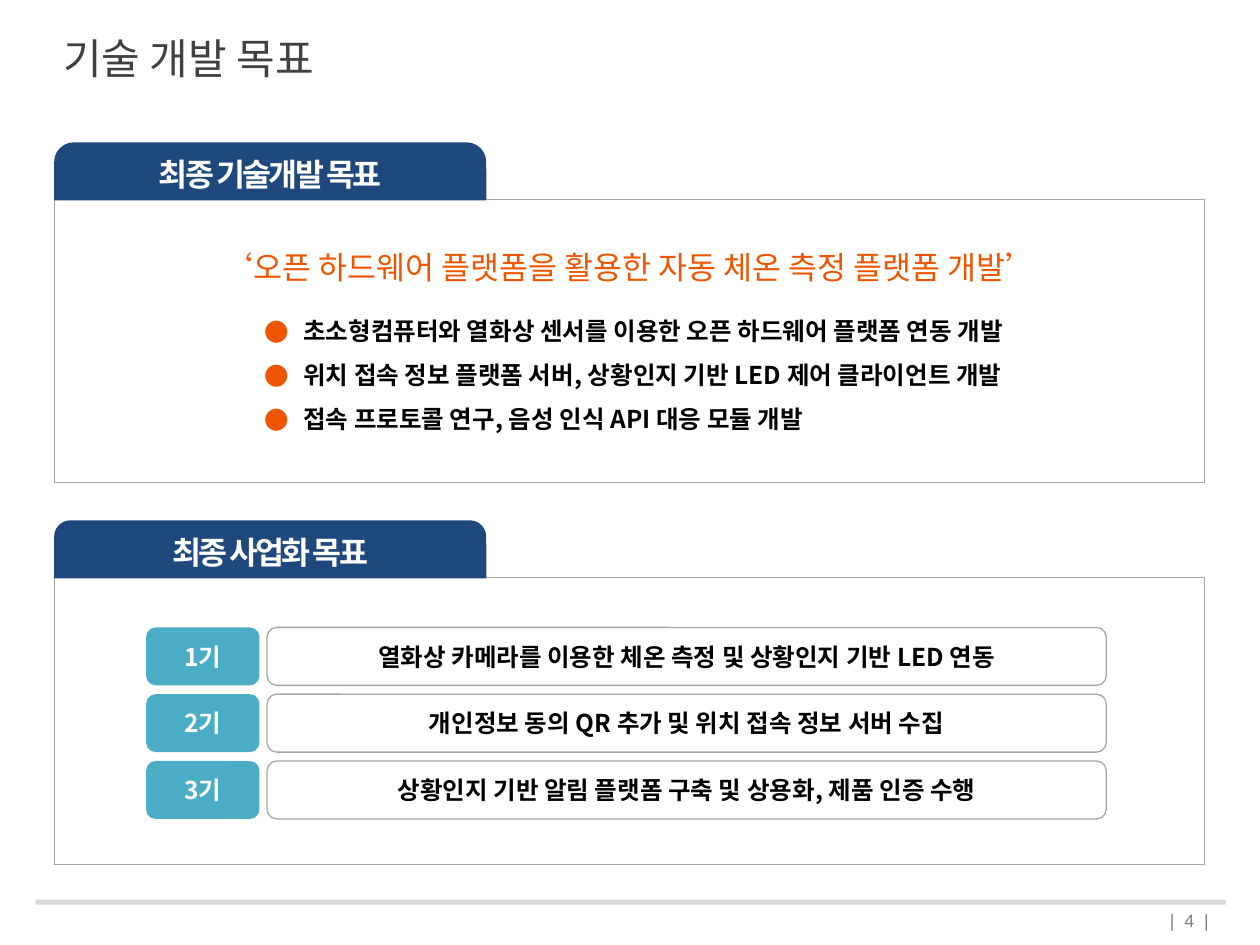
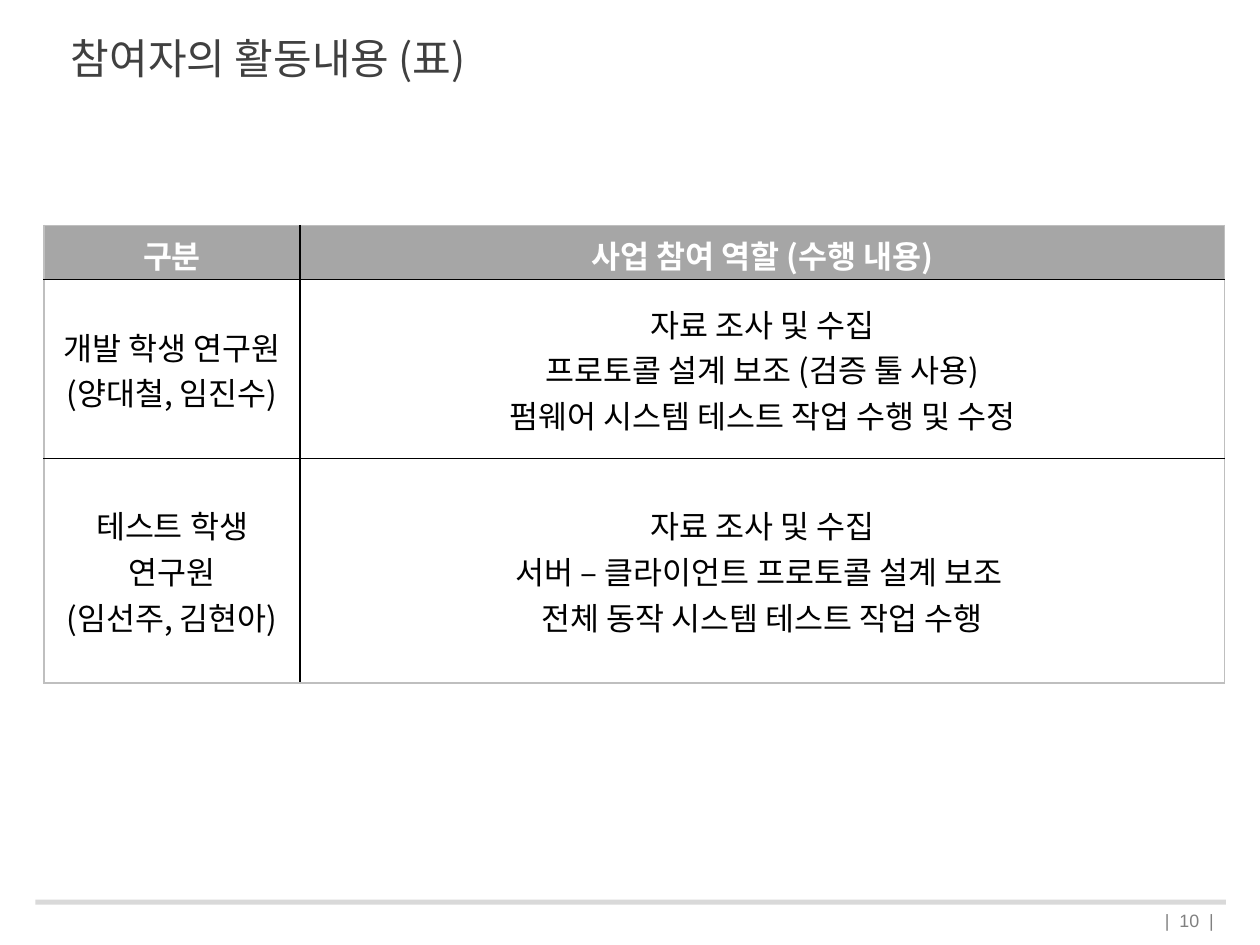
from pptx import Presentation
from pptx.dml.color import RGBColor
from pptx.enum.shapes import MSO_SHAPE as Shape
from pptx.enum.text import MSO_ANCHOR as Anchor, PP_ALIGN as Align
from pptx.oxml.ns import qn
from pptx.util import Inches, Pt
from lxml.etree import SubElement, Element

SANS = "Noto Sans CJK KR"
WHITE = RGBColor(0xFF, 0xFF, 0xFF)
BLACK = RGBColor(0, 0, 0)
NAVY = RGBColor(0x1F, 0x49, 0x7D)
TEAL = RGBColor(0x4B, 0xAC, 0xC6)
ORANGE = RGBColor(0xEE, 0x55, 0x00)
TITLE_GRAY = RGBColor(0x40, 0x40, 0x40)
PAGE_GRAY = RGBColor(0x80, 0x80, 0x80)
LINE_GRAY = RGBColor(0xA6, 0xA6, 0xA6)
EDGE_GRAY = RGBColor(0xBF, 0xBF, 0xBF)
BAND_GRAY = RGBColor(0xD9, 0xD9, 0xD9)

PANEL_LEFT, PANEL_WIDTH = 0.43, 9.13
TAB_HEIGHT = 0.46


def write(para, text, size=14, color=BLACK, bold=False, font=SANS,
          align=Align.CENTER, spacing=None):
    para.alignment = align
    span = para.add_run()
    span.text = text
    span.font.size = Pt(size)
    span.font.bold = bold
    span.font.color.rgb = color
    span.font.name = font
    properties = span.font._element
    SubElement(properties, qn("a:ea")).set("typeface", font)
    if spacing is not None:
        properties.set("spc", str(round(spacing * 100)))


def add_text(page, text, left, top, width, height, wrap=True, **style):
    box = page.shapes.add_textbox(*map(Inches, (left, top, width, height)))
    box.text_frame.word_wrap = wrap
    write(box.text_frame.paragraphs[0], text, **style)


def add_block(page, kind, left, top, width, height, fill=None, line=None,
              line_width=0.75, adjust=None, text=None, side_margin=0.1, **style):
    block = page.shapes.add_shape(kind, *map(Inches, (left, top, width, height)))
    block.shadow.inherit = False
    if fill is None:
        block.fill.background()
    else:
        block.fill.solid()
        block.fill.fore_color.rgb = fill
    if line is None:
        block.line.fill.background()
    else:
        block.line.color.rgb = line
        block.line.width = Pt(line_width)
    for index, value in enumerate(adjust or ()):
        block.adjustments[index] = value
    frame = block.text_frame
    frame.word_wrap = True
    frame.vertical_anchor = Anchor.MIDDLE
    frame.margin_left = frame.margin_right = Inches(side_margin)
    if text:
        write(frame.paragraphs[0], text, **style)
    return block


def add_bullet(frame, text, line_spacing):
    para = frame.add_paragraph()
    para.level = 1
    para.line_spacing = line_spacing
    properties = para._p.get_or_add_pPr()
    properties.set("marL", str(Inches(1.88)))
    properties.set("indent", str(Inches(-0.31)))
    color = SubElement(properties, qn("a:buClr"))
    SubElement(color, qn("a:srgbClr")).set("val", str(ORANGE))
    SubElement(properties, qn("a:buFont")).set("typeface", SANS)
    SubElement(properties, qn("a:buChar")).set("char", "●")
    write(para, text, bold=True, align=Align.LEFT)


def add_panel(page, heading, top, height, rounding):
    panel = add_block(page, Shape.ROUNDED_RECTANGLE, PANEL_LEFT, top, PANEL_WIDTH,
                      height, fill=WHITE, line=LINE_GRAY, line_width=0.25, adjust=[0])
    add_block(page, Shape.ROUND_2_SAME_RECTANGLE, PANEL_LEFT, top - TAB_HEIGHT + 0.01,
              3.43, TAB_HEIGHT, fill=NAVY, adjust=[rounding, 0], text=heading,
              size=18, color=WHITE, bold=True, spacing=-1.5)
    return panel


def add_stage(page, label, goal, top):
    shared = dict(top=top, height=0.46, side_margin=0.04, bold=True)
    add_block(page, Shape.ROUNDED_RECTANGLE, left=2.12, width=6.66,
              line=LINE_GRAY, text=goal, **shared)
    add_block(page, Shape.ROUNDED_RECTANGLE, left=1.16, width=0.9,
              fill=TEAL, text=label, color=WHITE, **shared)


def set_borders(cell, colors):
    properties = cell._tc.get_or_add_tcPr()
    for index, (side, color) in enumerate(zip("LRTB", colors)):
        border = Element(qn(f"a:ln{side}"), w=str(Pt(1)))
        fill = SubElement(border, qn("a:solidFill"))
        SubElement(fill, qn("a:srgbClr")).set("val", str(color))
        properties.insert(index, border)


def add_role_table(page, rows, left, top, widths, heights):
    frame = page.shapes.add_table(
        len(rows), len(widths), Inches(left), Inches(top),
        Inches(sum(widths)), Inches(sum(heights)))
    table = frame.table
    table.first_row = table.horz_banding = False
    for column, width in zip(table.columns, widths):
        column.width = Inches(width)
    for r, (row, height) in enumerate(zip(rows, heights)):
        table.rows[r].height = Inches(height)
        header = r == 0
        for c, lines in enumerate(row):
            cell = table.cell(r, c)
            if header:
                cell.fill.solid()
                cell.fill.fore_color.rgb = LINE_GRAY
            else:
                cell.fill.background()
                cell.vertical_anchor = Anchor.MIDDLE
            for index, line in enumerate(lines):
                body = cell.text_frame
                para = body.add_paragraph() if index else body.paragraphs[0]
                write(para, line, size=18, color=WHITE if header else BLACK, bold=header)
            outer = (c == 0, c == len(widths) - 1, header, r == len(rows) - 1)
            set_borders(cell, [EDGE_GRAY if edge else BLACK for edge in outer])


def add_page(deck, title, number, title_left, title_width):
    page = deck.slides.add_slide(deck.slide_layouts[6])
    add_text(page, f"|  {number}  |", 8.94, 7.17, 1, 0.4,
             size=10.2, color=PAGE_GRAY, font="Arial")
    add_block(page, Shape.RECTANGLE, 0.28, 7.14, 9.45, 0.04, fill=BAND_GRAY)
    add_text(page, title, title_left, 0.21, title_width, 0.5, wrap=False,
             size=24, color=TITLE_GRAY)
    return page


def build_goals(deck):
    page = add_page(deck, "기술 개발 목표", 4, -0.04, 3.07)
    panel = add_panel(page, "최종 기술개발 목표", 1.58, 2.25, 0.34)
    frame = panel.text_frame
    write(frame.paragraphs[0], "‘오픈 하드웨어 플랫폼을 활용한 자동 체온 측정 플랫폼 개발’",
          size=18, color=ORANGE)
    for text, line_spacing in (
        ("초소형컴퓨터와 열화상 센서를 이용한 오픈 하드웨어 플랫폼 연동 개발", 2.0),
        ("위치 접속 정보 플랫폼 서버, 상황인지 기반 LED 제어 클라이언트 개발", 1.5),
        ("접속 프로토콜 연구, 음성 인식 API 대응 모듈 개발", 1.5),
    ):
        add_bullet(frame, text, line_spacing)

    add_panel(page, "최종 사업화 목표", 4.58, 2.28, 0.28)
    goals = (
        "열화상 카메라를 이용한 체온 측정 및 상황인지 기반 LED 연동",
        "개인정보 동의 QR 추가 및 위치 접속 정보 서버 수집",
        "상황인지 기반 알림 플랫폼 구축 및 상용화, 제품 인증 수행",
    )
    for index, goal in enumerate(goals):
        add_stage(page, f"{index + 1}기", goal, 4.98 + index * 0.53)


def build_roles(deck):
    page = add_page(deck, "참여자의 활동내용 (표)", 10, 0.2, 3.86)
    rows = (
        (["구분"], ["사업 참여 역할 (수행 내용)"]),
        (["개발 학생 연구원", "(양대철, 임진수)"],
         ["자료 조사 및 수집", "프로토콜 설계 보조 (검증 툴 사용)",
          "펌웨어 시스템 테스트 작업 수행 및 수정"]),
        (["테스트 학생 연구원", "(임선주, 김현아)"],
         ["자료 조사 및 수집", "서버 – 클라이언트 프로토콜 설계 보조 ",
          "전체 동작 시스템 테스트 작업 수행"]),
    )
    add_role_table(page, rows, 0.35, 1.79, (2.03, 7.34), (0.43, 1.42, 1.78))


def main():
    deck = Presentation()
    deck.slide_width, deck.slide_height = Inches(10), Inches(7.5)
    build_goals(deck)
    build_roles(deck)
    deck.save("out.pptx")


if __name__ == "__main__":
    main()
